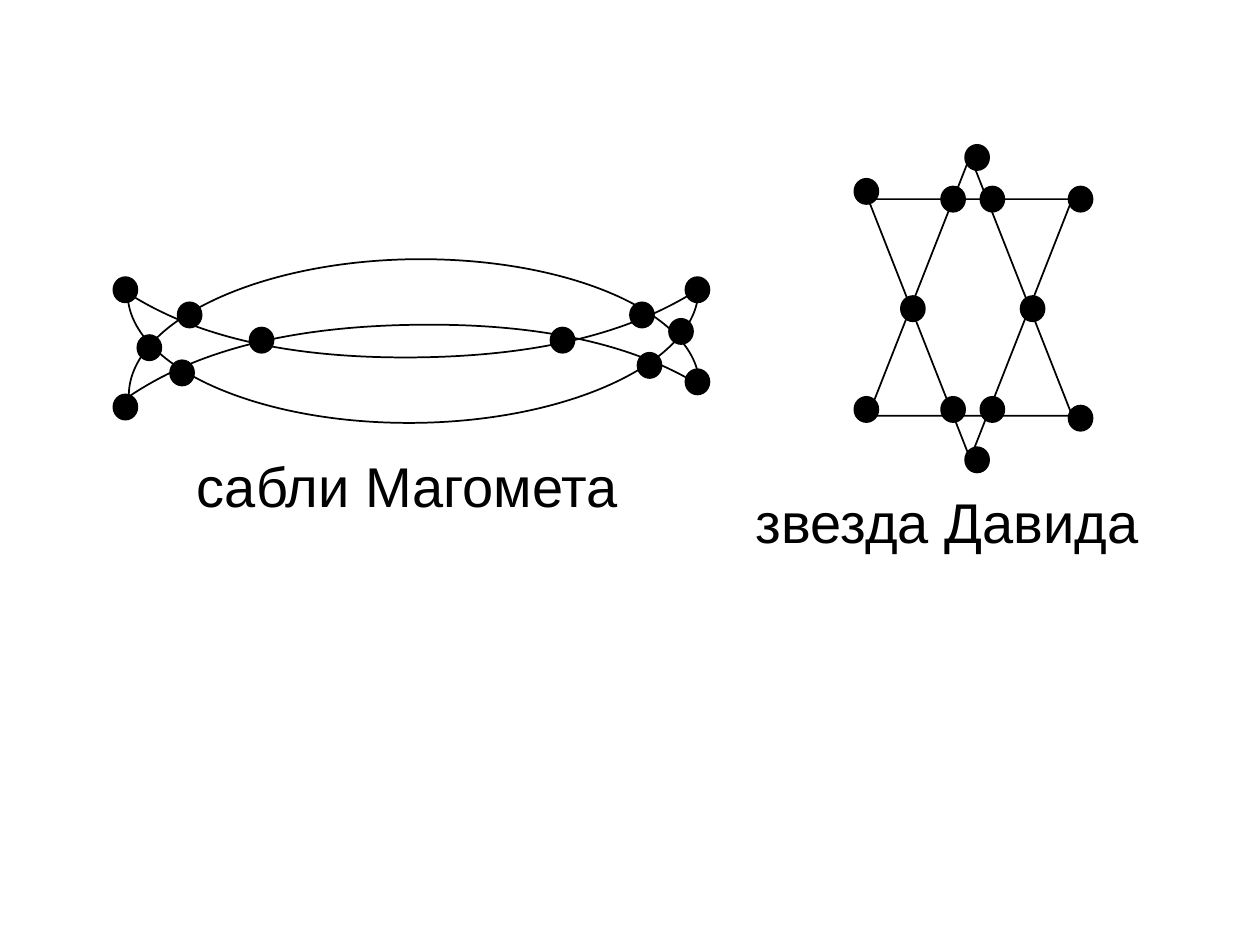
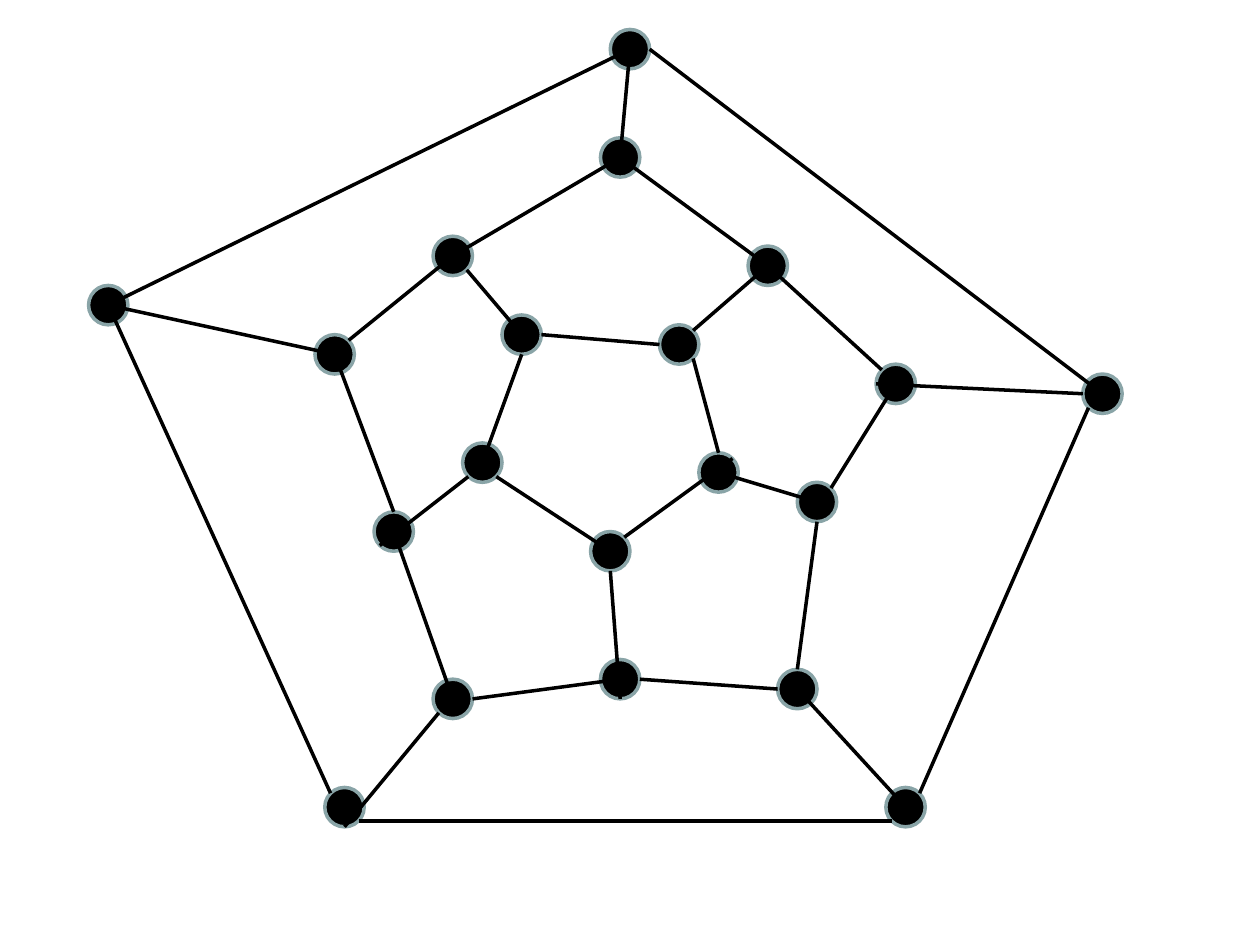
"""Build two slides of graph drawings: sabres and star, then a dodecahedron graph."""
import math

from lxml import etree
from pptx import Presentation
from pptx import util as u
from pptx.dml import color
from pptx.enum import shapes, text
from pptx.oxml import ns

COLORS = {"ink": "000000", "rim": "89A4A7"}
FONT = "Arial"


def paint(shape, fill=None, line="ink", width=1):
    shape.shadow.inherit = False
    if fill:
        shape.fill.solid()
        shape.fill.fore_color.rgb = color.RGBColor.from_string(COLORS[fill])
    else:
        shape.fill.background()
    shape.line.color.rgb = color.RGBColor.from_string(COLORS[line])
    shape.line.width = u.Pt(width)


def write(page, words, left, top, width, height, size=32, align=text.PP_ALIGN.LEFT):
    box = page.shapes.add_textbox(u.Pt(left), u.Pt(top), u.Pt(width), u.Pt(height))
    box.text_frame.word_wrap = True
    para = box.text_frame.paragraphs[0]
    para.alignment = align
    span = para.add_run()
    span.text = words
    span.font.name = FONT
    span.font.size = u.Pt(size)
    span.font.color.rgb = color.RGBColor.from_string(COLORS["ink"])


deck = Presentation()
deck.slide_width, deck.slide_height = u.Pt(720), u.Pt(540)
blank = deck.slide_layouts[6]

page = deck.slides.add_slide(blank)
for kind, top in (
    (shapes.MSO_SHAPE.FLOWCHART_EXTRACT, 89.3),
    (shapes.MSO_SHAPE.FLOWCHART_MERGE, 113.8),
):
    triangle = page.shapes.add_shape(
        kind, u.Pt(496.1), u.Pt(top), u.Pt(116.6), u.Pt(148.3))
    paint(triangle)

sabres = [
    (88.9, (236.2, 186.1), [
        (400.3, 220.3),
        (370.8, 202.3), (322.6, 184.3), (236.2, 185.8),
        (149.8, 187.2), (103, 207.4), (74.2, 226.8),
        (73.4, 185), (146.2, 149.8), (235.4, 148.3),
        (325.4, 146.9), (399.6, 179.3), (400.3, 220.3)]),
    (269.5, (236.2, 203.4), [
        (73.4, 167),
        (103, 185.8), (150.5, 204.5), (236.9, 203.8),
        (323.3, 203), (370.1, 183.6), (399.6, 164.9),
        (399.6, 205.9), (326.2, 240.5), (236.9, 241.2),
        (147.6, 241.9), (73.4, 208.8), (73.4, 167)]),
]
star_dots = [
    (488.2, 226.8), (610.6, 231.8), (610.6, 106.6), (488.2, 102.2),
    (551.5, 255.6), (551.5, 82.8), (514.8, 169.2), (583.2, 169.2),
    (537.8, 226.8), (560.2, 226.8), (537.8, 106.6), (560.2, 106.6),
]
sabre_dots = [
    (364.3, 201.6), (314.6, 187.2), (360, 172.8), (382.3, 182.2),
    (391.7, 158.4), (391.7, 211), (101.5, 172.8), (64.8, 225.4),
    (64.8, 158.4), (142.6, 187.2), (97.2, 205.9), (78.5, 191.5),
]
figures = [
    ([], star_dots, ("звезда Давида", 424.8, 275, 295.2, 91.4), text.PP_ALIGN.LEFT),
    (sabres, sabre_dots, ("сабли Магомета", 74.2, 254.2, 317.5, 95.8), text.PP_ALIGN.CENTER),
]
for blades, dots, caption, align in figures:
    for angle, (middle_x, middle_y), controls in blades:
        cosine, sine = math.cos(math.radians(angle)), math.sin(math.radians(angle))
        upright = [
            (u.Pt(middle_x + (x - middle_x) * cosine + (y - middle_y) * sine),
             u.Pt(middle_y - (x - middle_x) * sine + (y - middle_y) * cosine))
            for x, y in controls
        ]
        builder = page.shapes.build_freeform(*upright[0])
        builder.add_line_segments(upright[1:], close=True)
        blade = builder.convert_to_shape()
        blade.rotation = angle
        paint(blade)
        lines = list(blade._element.iter(ns.qn("a:lnTo")))
        for first in range(0, len(lines), 3):
            curve = etree.Element(ns.qn("a:cubicBezTo"))
            lines[first].addprevious(curve)
            for line in lines[first:first + 3]:
                curve.append(line[0])
                line.getparent().remove(line)
    write(page, *caption, align=align)
    for left, top in dots:
        dot = page.shapes.add_shape(
            shapes.MSO_SHAPE.OVAL, u.Pt(left), u.Pt(top), u.Pt(13.7), u.Pt(14.4))
        paint(dot, fill="ink")

page = deck.slides.add_slide(blank)
node_size = 22.5
grid = node_size / 4
rings = {
    "inner": [(51, 32), (67, 33), (71, 46), (60, 54), (47, 45)],
    "middle": [(61, 14), (76, 25), (89, 37), (81, 49), (79, 68),
               (61, 67), (44, 69), (38, 52), (32, 34), (44, 24)],
    "outer": [(62, 3), (110, 38), (90, 80), (33, 80), (9, 29)],
}
centers = {}
for ring, places in rings.items():
    for number, (column, row) in enumerate(places, 1):
        node = page.shapes.add_shape(
            shapes.MSO_SHAPE.OVAL, u.Pt(column * grid), u.Pt(row * grid),
            u.Pt(node_size), u.Pt(node_size))
        paint(node, fill="ink", line="rim", width=2)
        centers[f"{ring}{number}"] = ((column + 2) * grid, (row + 2) * grid)

radius = node_size / 2
slant = radius * 0.71
anchors = {
    "c": (0, 0), "n": (0, -radius), "s": (0, radius), "w": (-radius, 0), "e": (radius, 0),
    "nw": (-slant, -slant), "ne": (slant, -slant), "sw": (-slant, slant), "se": (slant, slant),
}
edges = [
    ("inner1 e", "inner2 w"), ("inner5 se", "inner4 c"), ("inner2 se", "inner3 n"),
    ("inner4 ne", "inner3 ne"), ("inner5 c", "inner1 s"), ("middle10 se", "inner1 c"),
    ("inner2 ne", "middle2 c"), ("inner3 c", "middle4 c"), ("inner4 s", "middle6 s"),
    ("middle8 sw", "inner5 sw"), ("middle1 c", "middle2 c"), ("middle2 c", "middle3 nw"),
    ("middle4 ne", "middle3 c"), ("middle6 e", "middle5 w"), ("middle5 n", "middle4 s"),
    ("middle7 e", "middle6 c"), ("middle5 c", "outer3 c"), ("outer1 c", "middle1 c"),
    ("middle3 w", "outer2 w"), ("middle8 n", "middle9 c"), ("middle7 c", "middle8 c"),
    ("outer4 s", "middle7 sw"), ("middle9 ne", "middle10 c"), ("middle10 c", "middle1 c"),
    ("outer3 ne", "outer2 sw"), ("outer5 c", "outer4 nw"), ("outer4 se", "outer3 sw"),
    ("outer5 c", "middle9 c"), ("outer1 e", "outer2 c"), ("outer5 c", "outer1 c"),
]
for edge in edges:
    ends = []
    for end in edge:
        name, side = end.split()
        ends += [u.Pt(center + shift) for center, shift in zip(centers[name], anchors[side])]
    link = page.shapes.add_connector(shapes.MSO_CONNECTOR.STRAIGHT, *ends)
    link.line.color.rgb = color.RGBColor.from_string(COLORS["ink"])
    link.line.width = u.Pt(2)
    etree.SubElement(link._element.spPr, ns.qn("a:effectLst"))

deck.save("out.pptx")
